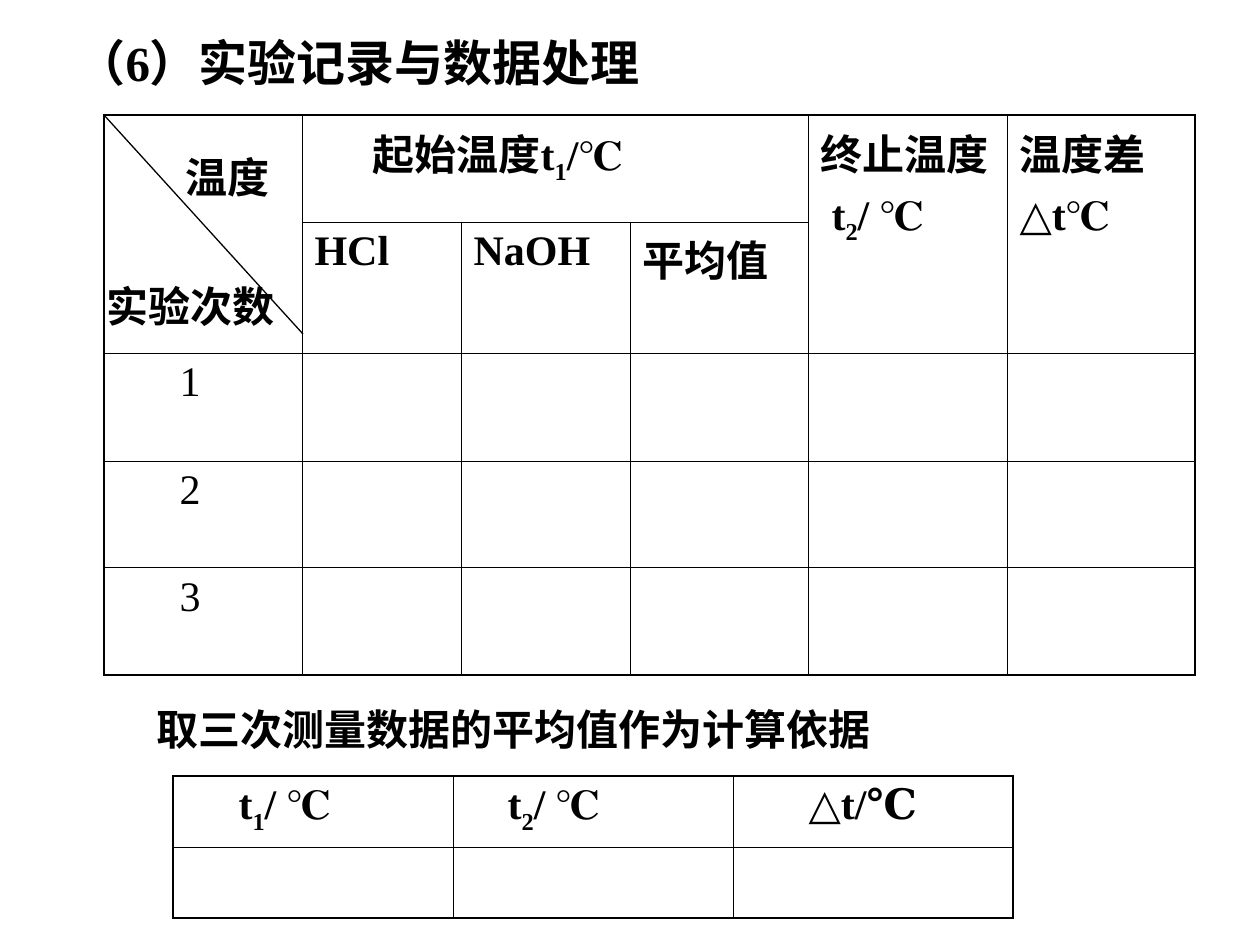
"""Build the slide on recording experiment data and averaging the measured temperatures."""
from lxml import etree
from pptx import Presentation
from pptx.dml.color import RGBColor
from pptx.enum.lang import MSO_LANGUAGE_ID
from pptx.enum.shapes import MSO_CONNECTOR
from pptx.enum.text import MSO_ANCHOR, PP_ALIGN
from pptx.oxml.ns import qn
from pptx.util import Emu, Pt

FONT, INK = "Times New Roman", "000000"
BODY_SIZE, TITLE_SIZE = 24, 28
THIN, THICK = 0.45, 1.08

TITLE = ("（6）实验记录与数据处理", (64, 26, 656, 72))
LABELS = [
    ("取三次测量数据的平均值作为计算依据", (144, 697, 952, 63)),
    ("温度", (173, 145, 139, 63)),
    ("实验次数", (94, 274, 208, 63)),
]
DIAGONAL = (104, 115, 303, 334)

RECORD = {
    "origin": (104, 115),
    "columns": [198, 159, 169, 178, 199, 188],
    "rows": [107, 131, 108, 107, 107],
    "merges": [((0, 0), (1, 0)), ((0, 1), (0, 3)), ((0, 4), (1, 4)), ((0, 5), (1, 5))],
    "cells": {
        (0, 1): [(58, ["起始温度t", "1", "/℃"])],
        (0, 4): [(0, ["终止温度"]), (11, ["t", "2", "/ ℃"])],
        (0, 5): [(0, ["温度差"]), (0, ["△", "t", "℃"])],
        (1, 1): [(0, ["HCl"])],
        (1, 2): [(0, ["NaOH"])],
        (1, 3): [(0, ["平均值"])],
        (2, 0): [(63, ["1"])],
        (3, 0): [(63, ["2"])],
        (4, 0): [(63, ["3"])],
    },
    "plain_from": 2,
}
AVERAGE = {
    "origin": (173, 776),
    "columns": [280] * 3,
    "rows": [71] * 2,
    "merges": [],
    "cells": {
        (0, 0): [(53, ["t", "1", "/ ℃"])],
        (0, 1): [(42, ["t", "2", "/ ℃"])],
        (0, 2): [(63, ["△t/℃"])],
    },
    "plain_from": 2,
}


def px(length):
    return Emu(round(length * 914400 / 126))


def color(hex_text):
    return RGBColor.from_string(hex_text)


def style(font, size=BODY_SIZE, bold=True):
    for name, value in {"name": FONT, "size": Pt(size), "bold": bold}.items():
        setattr(font, name, value)
    font.color.rgb = color(INK)


def write(frame, lines, size=BODY_SIZE, bold=True):
    """Write (indent, runs) lines, where a digit run after the first is a subscript."""
    for number, (indent, pieces) in enumerate(lines):
        paragraph = frame.add_paragraph() if number else frame.paragraphs[0]
        paragraph.alignment = PP_ALIGN.LEFT
        paragraph.space_before = Pt(6 if number else 0)
        if indent:
            properties = paragraph._p.get_or_add_pPr()
            properties.set("marL", str(px(indent)))
            properties.set("indent", "0")
        for position, piece in enumerate(pieces):
            run = paragraph.add_run()
            run.text = piece
            style(run.font, size, bold)
            if not piece.isascii():
                run.font.language_id = MSO_LANGUAGE_ID.SIMPLIFIED_CHINESE
            if position and piece.isdigit():
                run.font._element.set("baseline", "-25000")


def set_borders(cell, widths):
    properties = cell._tc.get_or_add_tcPr()
    for order, (side, width) in enumerate(widths.items()):
        line = etree.Element(qn(f"a:ln{side}"), w=str(Pt(width)))
        fill = etree.SubElement(line, qn("a:solidFill"))
        etree.SubElement(fill, qn("a:srgbClr"), val=INK)
        properties.insert(order, line)


def add_grid(slide, grid):
    columns, rows = grid["columns"], grid["rows"]
    box = (*grid["origin"], sum(columns), sum(rows))
    table = slide.shapes.add_table(len(rows), len(columns), *map(px, box)).table
    table.first_row = table.horz_banding = False
    for column, width in zip(table.columns, columns):
        column.width = px(width)
    for row, height in zip(table.rows, rows):
        row.height = px(height)
    for start, end in grid["merges"]:
        table.cell(*start).merge(table.cell(*end))
    for r in range(len(rows)):
        for c in range(len(columns)):
            cell = table.cell(r, c)
            cell.fill.background()
            if cell.is_spanned:
                continue
            cell.margin_bottom = 0
            last_row = r + cell.span_height == len(rows)
            last_column = c + cell.span_width == len(columns)
            edges = {"L": c == 0, "R": last_column, "T": r == 0, "B": last_row}
            set_borders(cell, {side: THICK if outer else THIN for side, outer in edges.items()})
            write(cell.text_frame, grid["cells"].get((r, c), []), bold=r < grid["plain_from"])


def main():
    deck = Presentation()
    deck.slide_width, deck.slide_height = px(1260), px(945)
    slide = deck.slides.add_slide(deck.slide_layouts[5])

    heading, heading_box = TITLE
    title = slide.shapes.title
    for name, value in zip(("left", "top", "width", "height"), heading_box):
        setattr(title, name, px(value))
    title.text_frame.vertical_anchor = MSO_ANCHOR.TOP
    write(title.text_frame, [(0, [heading])], TITLE_SIZE)

    add_grid(slide, RECORD)
    diagonal = slide.shapes.add_connector(MSO_CONNECTOR.STRAIGHT, *map(px, DIAGONAL))
    diagonal.line.color.rgb = color(INK)
    diagonal.line.width = Pt(0.75)
    etree.SubElement(diagonal._element.spPr, qn("a:effectLst"))

    for text, box in LABELS:
        frame = slide.shapes.add_textbox(*map(px, box)).text_frame
        frame.word_wrap = True
        write(frame, [(0, [text])])
    add_grid(slide, AVERAGE)

    deck.save("out.pptx")


if __name__ == "__main__":
    main()
